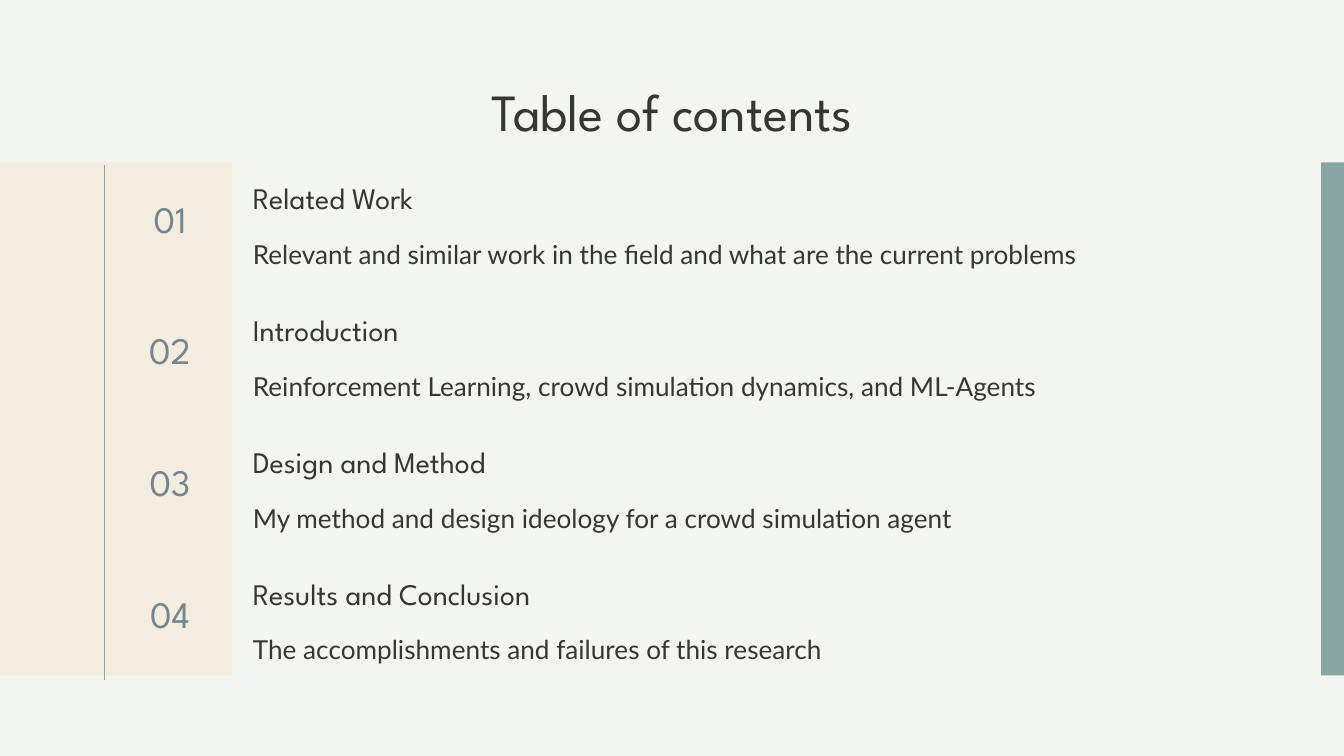
"""Build a table of contents slide with four numbered sections."""
from pptx import Presentation, util as u
from pptx.dml import color
from pptx.enum import shapes, text
from pptx.oxml import ns, xmlchemy

TITLE = "Table of contents"
SECTIONS = [
    ("Related Work", "Relevant and similar work in the field and what are the current problems"),
    ("Introduction", "Reinforcement Learning, crowd simulation dynamics, and ML-Agents"),
    ("Design and Method", "My method and design ideology for a crowd simulation agent"),
    ("Results and Conclusion", "The accomplishments and failures of this research"),
]
INK, TEAL, SAND, SLATE, PAPER = "363633", "89A6A5", "F3EDDF", "76858B", "F3F6EF"
WIDTH, HEIGHT = 25.4, 14.29
BAND_TOP, BAND_HEIGHT, ROW_PITCH = 3.07, 9.7, 2.49
PANEL_WIDTH, BAR_WIDTH, RULE_X = 4.39, 0.43, 1.98
MARGIN, INSET = 2.01, 0.25
TEXT_LEFT, TEXT_WIDTH = 4.53, 18.85

ANCHOR, ALIGN = text.MSO_ANCHOR, text.PP_ALIGN
FORMATS = {
    "title": dict(font="League Spartan", size=28, ink=INK, anchor=ANCHOR.TOP,
                  align=ALIGN.CENTER, spacing=1.0),
    "number": dict(font="League Spartan", size=20, ink=SLATE, anchor=ANCHOR.MIDDLE,
                   align=ALIGN.CENTER, spacing=1.0),
    "heading": dict(font="League Spartan", size=16, ink=INK, anchor=ANCHOR.BOTTOM,
                    align=ALIGN.LEFT, spacing=1.15),
    "summary": dict(font="Lato", size=14, ink=INK, anchor=ANCHOR.TOP,
                    align=ALIGN.LEFT, spacing=1.15),
}


def paint(target, value):
    target.rgb = color.RGBColor.from_string(value)


def add_block(page, left, width, fill):
    block = page.shapes.add_shape(shapes.MSO_SHAPE.RECTANGLE, u.Cm(left), u.Cm(BAND_TOP),
                                  u.Cm(width), u.Cm(BAND_HEIGHT))
    block.shadow.inherit = False
    block.fill.solid()
    paint(block.fill.fore_color, fill)
    block.line.fill.background()


def add_rule(page, left, top, bottom):
    rule = page.shapes.add_connector(shapes.MSO_CONNECTOR.STRAIGHT, u.Cm(left), u.Cm(top),
                                     u.Cm(left), u.Cm(bottom))
    paint(rule.line.color, TEAL)
    rule.line.width = u.Pt(0.75)
    rule._element.spPr.append(xmlchemy.OxmlElement("a:effectLst"))


def add_text(page, words, style, *place):
    look = FORMATS[style]
    box = page.shapes.add_textbox(*map(u.Cm, place))
    frame = box.text_frame
    margins = {f"margin_{side}": u.Cm(INSET) for side in ("left", "top", "right", "bottom")}
    para = frame.paragraphs[0]
    span = para.add_run()
    span.text = words
    settings = [
        (frame, dict(margins, word_wrap=True, vertical_anchor=look["anchor"])),
        (para, dict(alignment=look["align"], line_spacing=look["spacing"])),
        (span.font, dict(name=look["font"], size=u.Pt(look["size"]))),
    ]
    for target, values in settings:
        for name, value in values.items():
            setattr(target, name, value)
    paint(span.font.color, look["ink"])


def main():
    deck = Presentation()
    deck.slide_width, deck.slide_height = u.Cm(WIDTH), u.Cm(HEIGHT)
    page = deck.slides.add_slide(deck.slide_layouts[6])
    page.background.fill.solid()
    paint(page.background.fill.fore_color, PAPER)

    add_block(page, WIDTH - BAR_WIDTH, BAR_WIDTH, TEAL)
    add_block(page, 0, PANEL_WIDTH, SAND)
    add_rule(page, RULE_X, 3.12, 12.85)
    add_text(page, TITLE, "title", MARGIN, 1.24, WIDTH - 2 * MARGIN, 1.6)

    for row, (heading, summary) in enumerate(SECTIONS):
        top = BAND_TOP + row * ROW_PITCH
        add_text(page, f"{row + 1:02}", "number", MARGIN, top, 2.41, 2.11)
        add_text(page, heading, "heading", TEXT_LEFT, top + 0.02, TEXT_WIDTH, 1.24)
        add_text(page, summary, "summary", TEXT_LEFT, top + 1.1, TEXT_WIDTH, 1.04)

    deck.save("out.pptx")


if __name__ == "__main__":
    main()
